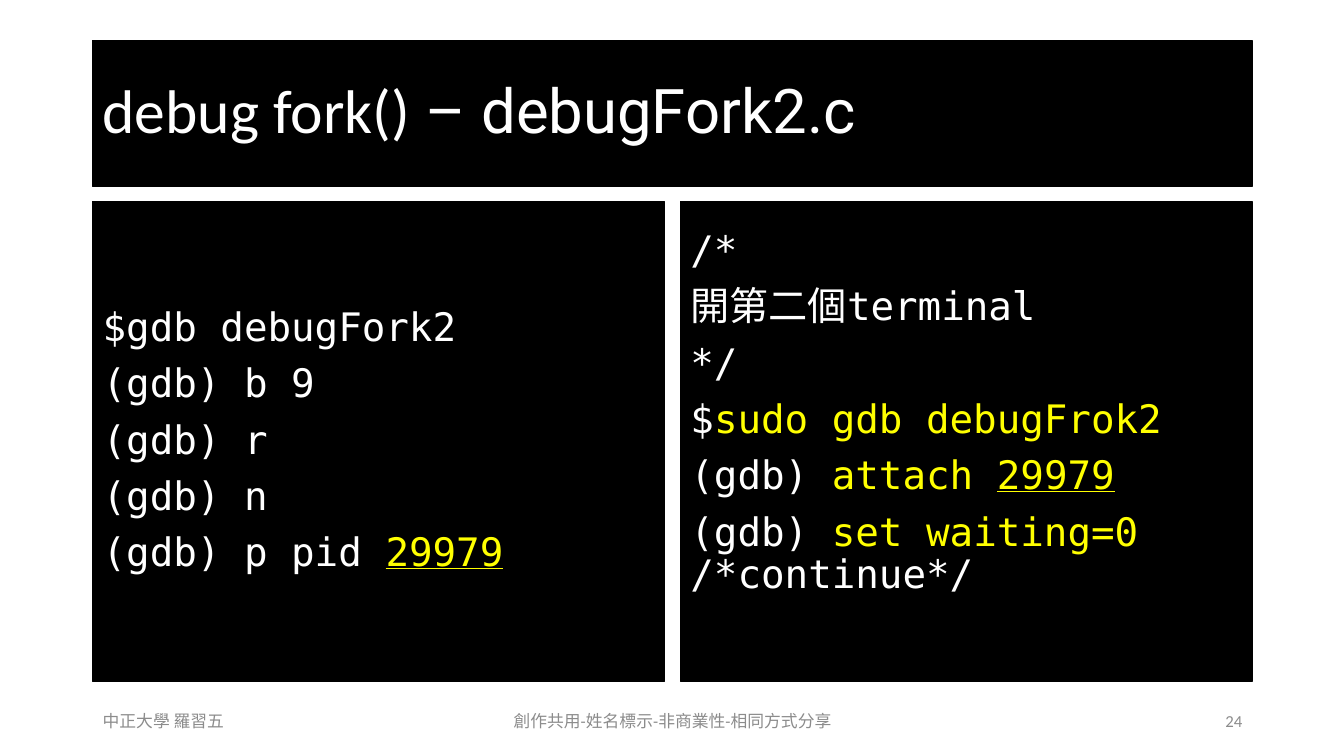
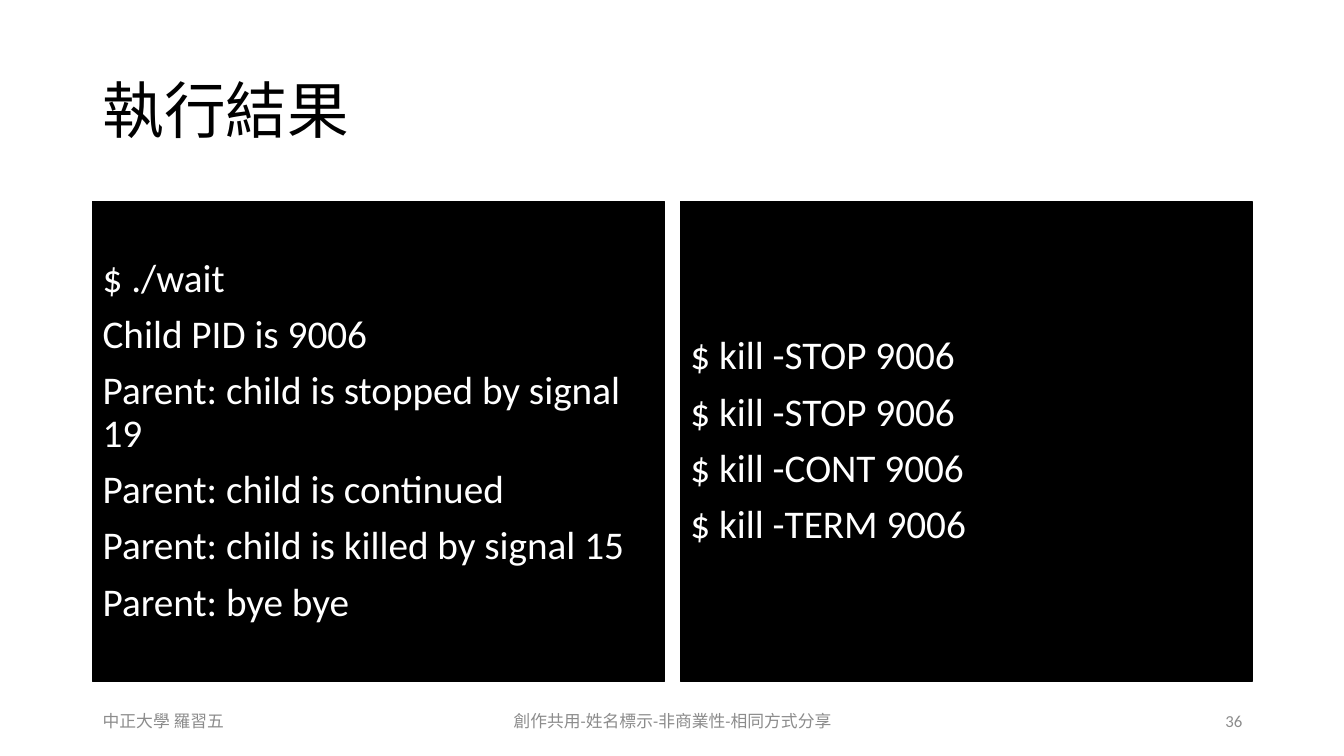
from lxml.etree import SubElement
from pptx import Presentation
from pptx.dml.color import RGBColor
from pptx.enum.shapes import MSO_SHAPE
from pptx.enum.text import MSO_ANCHOR, PP_ALIGN
from pptx.oxml.ns import qn
from pptx.util import Inches, Pt

COLORS = {"paper": "FFFFFF", "panel": "000000", "ink": "000000",
          "light": "FFFFFF", "accent": "FFFF00", "footer": "8C8C8C"}
BODY_FONT, CODE_FONT, TITLE_FONT = "Calibri", "DejaVu Sans Mono", "Roboto"
CHINESE_FONT = "Noto Sans CJK SC"

LEFT, CONTENT_WIDTH, GAP = 0.92, 11.5, 0.16
TITLE_BOX = (LEFT, 0.4, CONTENT_WIDTH, 1.45)
PANELS_BOX = (LEFT, 2, CONTENT_WIDTH, 4.76)
FOOTER_BOX = (LEFT, 6.95, CONTENT_WIDTH, 0.4)

TITLE_FORMAT = {"line_spacing": 0.9}
PANEL_FORMAT = {"line_spacing": 0.9, "space_before": Pt(10)}
ACCENT = {"color": "accent"}
PID = {"color": "accent", "underline": True}
AUTHOR = "中正大學 羅習五"
LICENSE = "創作共用-姓名標示-非商業性-相同方式分享"


def rgb(name):
    """Return the named colour."""
    return RGBColor.from_string(COLORS[name])


def add_run(paragraph, text, color, **font_format):
    """Add a run with a colour, font values and the shared Chinese font."""
    run = paragraph.add_run()
    run.text = text
    for name, value in font_format.items():
        setattr(run.font, name, value)
    run.font.color.rgb = rgb(color)
    SubElement(run.font._element, qn("a:ea"), typeface=CHINESE_FONT)


def fill_text(shape, lines, style, paragraph_format, bottom=0.05):
    """Write lines, each a string or a list of (text, changed style) runs."""
    frame = shape.text_frame
    frame.word_wrap = True
    frame.vertical_anchor = MSO_ANCHOR.MIDDLE
    frame.margin_bottom = Inches(bottom)
    for index, line in enumerate(lines):
        paragraph = frame.add_paragraph() if index else frame.paragraphs[0]
        for name, value in paragraph_format.items():
            setattr(paragraph, name, value)
        for text, changes in [(line, {})] if isinstance(line, str) else line:
            add_run(paragraph, text, **{**style, **changes})


def add_box(slide, box, filled):
    """Add a black rectangle or a plain text box."""
    position = [Inches(length) for length in box]
    if not filled:
        return slide.shapes.add_textbox(*position)
    shape = slide.shapes.add_shape(MSO_SHAPE.RECTANGLE, *position)
    shape.shadow.inherit = False
    shape.fill.solid()
    shape.fill.fore_color.rgb = rgb("panel")
    shape.line.color.rgb = rgb("panel")
    shape.line.width = Pt(1)
    return shape


def add_title(slide, box, line, filled):
    """Add the title, white on a black band or black on the page."""
    style = {"name": BODY_FONT, "size": Pt(44),
             "color": "light" if filled else "ink"}
    fill_text(add_box(slide, box, filled), [line], style,
              {**TITLE_FORMAT, "alignment": PP_ALIGN.LEFT})


def add_panels(slide, box, panels, font, bottoms):
    """Split the box into equal black panels of text."""
    left, top, width, height = box
    panel_width = (width - GAP * (len(panels) - 1)) / len(panels)
    style = {"name": font, "size": Pt(28), "color": "light"}
    for index, (lines, bottom) in enumerate(zip(panels, bottoms)):
        panel_left = left + index * (panel_width + GAP)
        panel = add_box(slide, (panel_left, top, panel_width, height), True)
        fill_text(panel, lines, style,
                  {**PANEL_FORMAT, "alignment": PP_ALIGN.LEFT}, bottom)


def add_footer(slide, box, number):
    """Add author, licence and slide number at left, centre and right."""
    left, top, width, height = box
    style = {"name": BODY_FONT, "size": Pt(12), "color": "footer"}
    parts = [(AUTHOR, 3, 0, PP_ALIGN.LEFT),
             (LICENSE, 4.5, 0.5, PP_ALIGN.CENTER),
             (str(number), 3, 1, PP_ALIGN.RIGHT)]
    for text, part_width, share, alignment in parts:
        part_left = left + (width - part_width) * share
        part = add_box(slide, (part_left, top, part_width, height), False)
        fill_text(part, [text], style, {"alignment": alignment})


def add_terminal_slide(presentation, number, title, panels, font,
                       title_filled=False, bottoms=(0.05, 0.05)):
    """Add a slide with a title, two terminal panels and the footer."""
    slide = presentation.slides.add_slide(presentation.slide_layouts[6])
    slide.background.fill.solid()
    slide.background.fill.fore_color.rgb = rgb("paper")
    add_title(slide, TITLE_BOX, title, title_filled)
    add_panels(slide, PANELS_BOX, panels, font, bottoms)
    add_footer(slide, FOOTER_BOX, number)


DEBUG_PANELS = [
    ["$gdb debugFork2", "(gdb) b 9", "(gdb) r", "(gdb) n",
     [("(gdb) p pid ", {}), ("29979", PID)]],
    ["/*", "開第二個terminal", "*/",
     [("$", {}), ("sudo gdb debugFrok2", ACCENT)],
     [("(gdb) ", {}), ("attach ", ACCENT), ("29979", PID)],
     [("(gdb) ", {}), ("set waiting=0 ", ACCENT), ("/*continue*/", {})]],
]
RESULT_PANELS = [
    ["$ ./wait", "Child PID is 9006", "Parent: child is stopped by signal 19",
     "Parent: child is continued", "Parent: child is killed by signal 15",
     "Parent: bye bye"],
    [f"$ kill -{signal} 9006" for signal in ("STOP", "STOP", "CONT", "TERM")],
]


def main():
    """Build and save the presentation."""
    presentation = Presentation()
    presentation.slide_width = Inches(13.33)
    presentation.slide_height = Inches(7.5)
    debug_title = [("debug fork()", {}),
                   (" – debugFork2.c", {"name": TITLE_FONT})]
    add_terminal_slide(presentation, 24, debug_title, DEBUG_PANELS, CODE_FONT,
                       title_filled=True, bottoms=(0.05, 0.6))
    result_title = [("執行結果", {"name": CHINESE_FONT})]
    add_terminal_slide(presentation, 36, result_title, RESULT_PANELS, BODY_FONT)
    presentation.save("out.pptx")


main()
